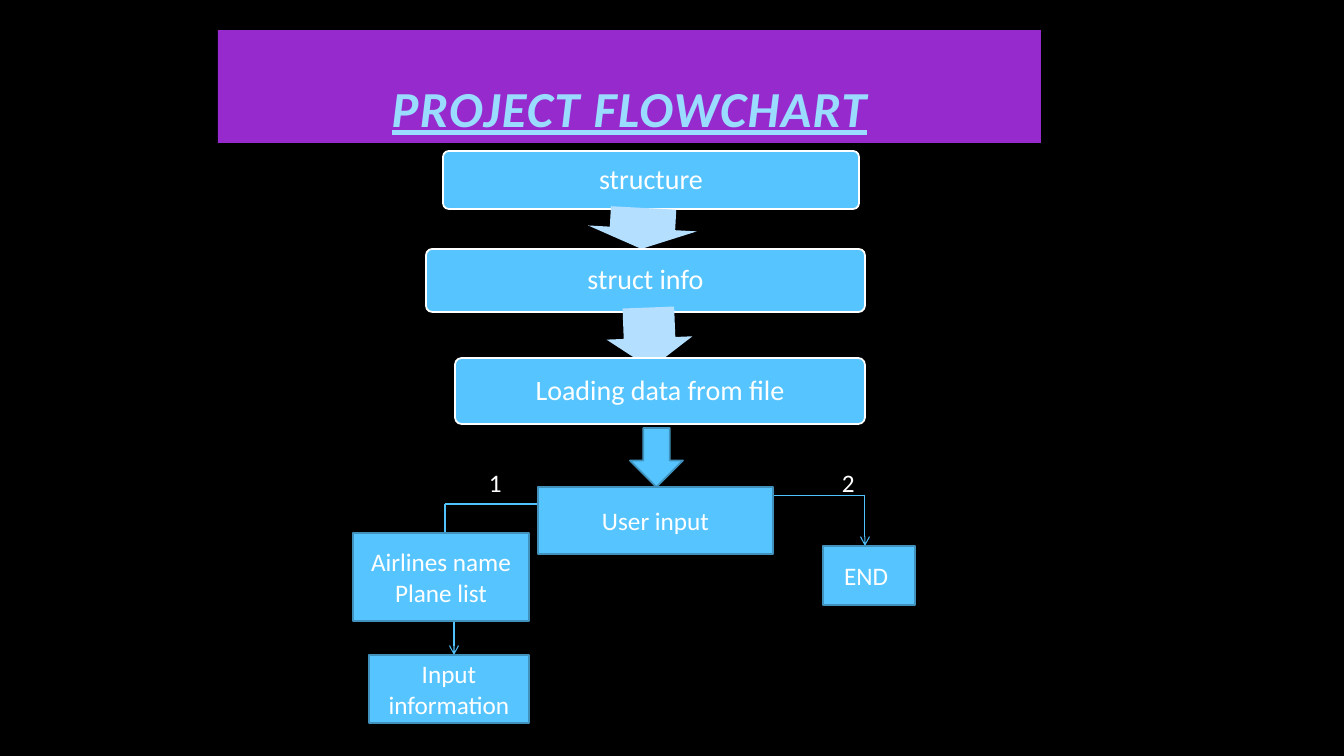
from pptx import Presentation
from pptx.dml.color import RGBColor
from pptx.enum.shapes import MSO_CONNECTOR as Link, MSO_SHAPE as Kind
from pptx.enum.text import MSO_ANCHOR as Anchor, PP_ALIGN as Align
from pptx.oxml.ns import qn
from pptx.util import Pt
from lxml.etree import SubElement

SCALE = 12192000 / 1344


def px(n):
    return round(n * SCALE)


def paint(color, code):
    color.rgb = RGBColor.from_string(code)


class Chart:
    font = "Calibri"
    white = "FFFFFF"
    blue = "56C5FF"
    edge = "4092BD"
    pale = "B4DFFF"
    wire = "50C2FE"

    def __init__(self, slide):
        self.slide = slide
        slide.background.fill.solid()
        paint(slide.background.fill.fore_color, "000000")

    def shape(self, kind, box, fill, line=None):
        item = self.slide.shapes.add_shape(kind, *map(px, box))
        item.shadow.inherit = False
        item.fill.solid()
        paint(item.fill.fore_color, fill)
        if line:
            paint(item.line.color, line)
            item.line.width = Pt(1.25)
        else:
            item.line.fill.background()
        return item

    def words(self, item, text, size, color=white, align=Align.CENTER, space=1.0):
        frame = item.text_frame
        frame.text = text
        for para in frame.paragraphs:
            para.alignment = align
            para.line_spacing = space
            for run in para.runs:
                run.font.name = self.font
                run.font.size = Pt(size)
                paint(run.font.color, color)
        return frame

    def title(self, text, box):
        item = self.shape(Kind.RECTANGLE, box, "972ACD")
        frame = self.words(item, text, 36, "9ADCFF", space=0.9)
        frame.vertical_anchor = Anchor.BOTTOM
        run = frame.paragraphs[0].runs[0]
        run.font.bold = run.font.italic = run.font.underline = True
        run.font._element.set("spc", "100")

    def step(self, text, box):
        item = self.shape(Kind.ROUNDED_RECTANGLE, box, self.blue, self.white)
        item.adjustments[0] = 0.1
        frame = self.words(item, text, 20, space=0.9)
        frame.vertical_anchor = Anchor.MIDDLE

    def arrow(self, box, turn):
        item = self.shape(Kind.RIGHT_ARROW, box, self.pale)
        item.adjustments[0] = 0.6
        item.rotation = turn

    def node(self, text, box):
        item = self.shape(Kind.FLOWCHART_PROCESS, box, self.blue, self.edge)
        frame = self.words(item, text, 18)
        frame.vertical_anchor = Anchor.MIDDLE

    def label(self, text, box):
        item = self.slide.shapes.add_textbox(*map(px, box))
        frame = self.words(item, text, 18, align=Align.LEFT)
        frame.word_wrap = False

    def line(self, ends, head=False):
        item = self.slide.shapes.add_connector(Link.STRAIGHT, *map(px, ends))
        paint(item.line.color, self.wire)
        item.line.width = Pt(0.75)
        if head:
            SubElement(item.line._get_or_add_ln(), qn("a:tailEnd"), type="arrow")
        SubElement(item._element.spPr, qn("a:effectLst"))


def main():
    deck = Presentation()
    deck.slide_width, deck.slide_height = px(1344), px(756)
    flow = Chart(deck.slides.add_slide(deck.slide_layouts[6]))

    flow.title("PROJECT FLOWCHART", (218, 30, 823, 113))
    flow.step("structure", (443, 151, 416, 58))
    flow.arrow((622, 174, 41, 109), 93.1)
    flow.step("struct info", (426, 249, 439, 63))
    flow.arrow((619, 295, 61, 86), 87.8)
    flow.step("Loading data from file", (455, 358, 410, 66))
    flow.shape(Kind.DOWN_ARROW, (630, 428, 53, 59), flow.blue, flow.edge)

    flow.line((445, 504, 445, 562), True)
    flow.line((537, 504, 445, 504))
    flow.line((773, 496, 865, 496))
    flow.line((865, 496, 865, 546), True)
    flow.line((454, 622, 454, 655), True)

    flow.node("User input", (538, 487, 235, 67))
    flow.node("END ", (823, 546, 92, 59))
    flow.node("Airlines name\nPlane list", (353, 533, 176, 88))
    flow.node("Input information", (369, 655, 160, 68))
    flow.label("1", (479, 462, 32, 40))
    flow.label("2", (832, 462, 34, 40))

    deck.save("out.pptx")


if __name__ == "__main__":
    main()
